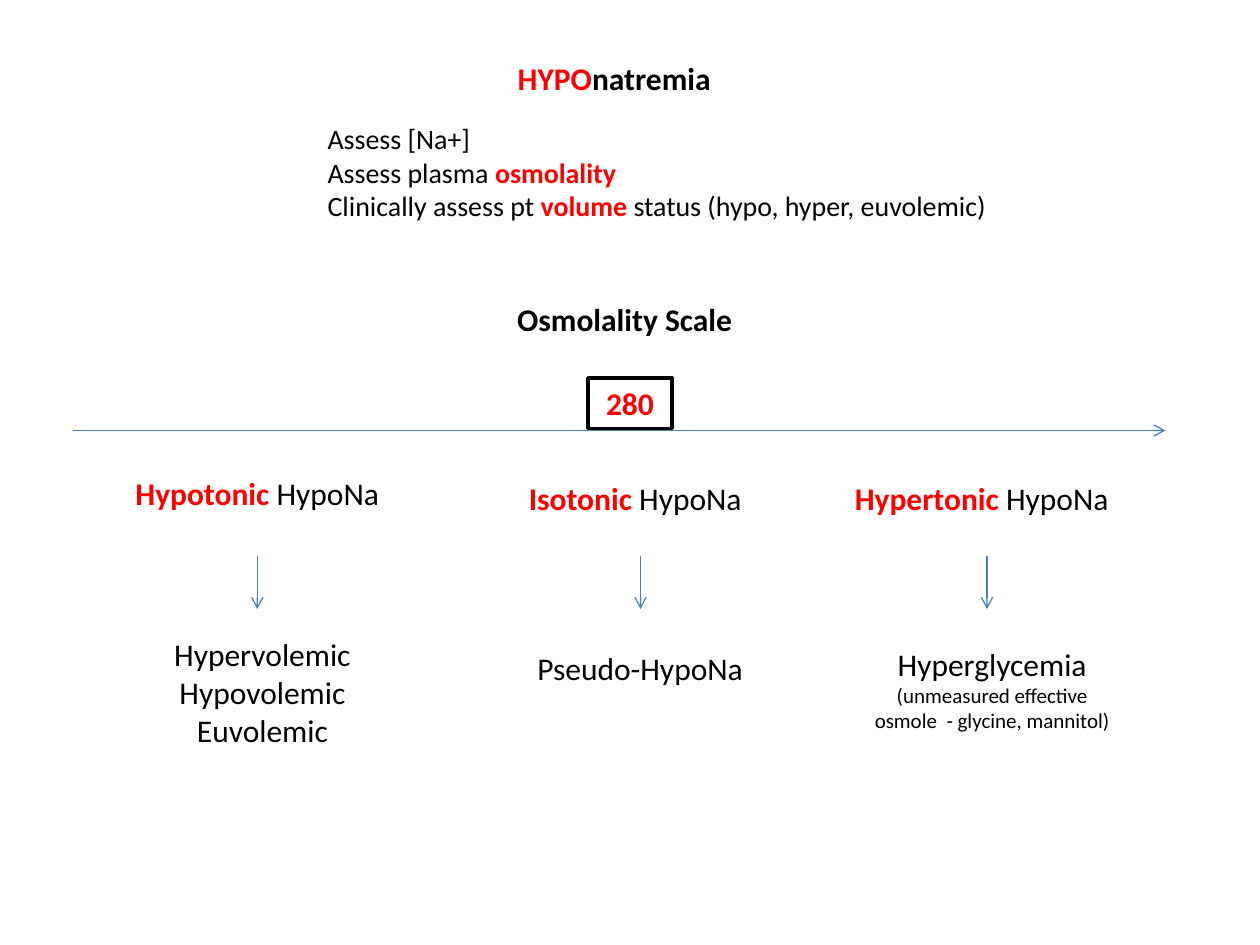
from lxml import etree
from pptx import Presentation
from pptx import util as u
from pptx.dml.color import RGBColor
from pptx.enum import shapes, text
from pptx.oxml.ns import qn

BLACK = RGBColor(0x00, 0x00, 0x00)
RED = RGBColor(0xFF, 0x00, 0x00)
BLUE = RGBColor(0x4B, 0x7E, 0xBC)
FONT = "Calibri"
CENTER, LEFT = text.PP_ALIGN.CENTER, text.PP_ALIGN.LEFT

# The slide is a grid of 120 columns by 90 rows.
CELL = u.Inches(10) / 120
LINE_ROWS = 4.8

# A run is (text, size, colour, bold).
def plain(words, size=18):
    return words, size, BLACK, False


def strong(words, size=18, color=RED):
    return words, size, color, True


def cells(*counts):
    return [u.Emu(round(count * CELL)) for count in counts]


def write(frame, lines, align=CENTER):
    """Fill a text frame with lines, each a list of runs."""
    frame.word_wrap = True
    frame.auto_size = text.MSO_AUTO_SIZE.NONE
    frame.vertical_anchor = text.MSO_ANCHOR.TOP
    for index, runs in enumerate(lines):
        paragraph = frame.add_paragraph() if index else frame.paragraphs[0]
        paragraph.alignment = align
        for words, size, color, bold in runs:
            run = paragraph.add_run()
            run.text = words
            run.font.name = FONT
            run.font.size = u.Pt(size)
            run.font.bold = bold
            run.font.color.rgb = color


def place(placeholder, box, lines, align=CENTER):
    (placeholder.left, placeholder.top,
     placeholder.width, placeholder.height) = cells(*box)
    write(placeholder.text_frame, lines, align)


def remove_bullets(frame):
    for paragraph in frame.paragraphs:
        paragraph.space_before = u.Pt(0)
        properties = paragraph._p.get_or_add_pPr()
        properties.set("marL", "0")
        properties.set("indent", "0")
        etree.SubElement(properties, qn("a:buNone"))


def add_label(slide, box, lines, align=CENTER):
    write(slide.shapes.add_textbox(*cells(*box)).text_frame, lines, align)


def add_arrow(slide, start, end):
    arrow = slide.shapes.add_connector(
        shapes.MSO_CONNECTOR.STRAIGHT, *cells(*start, *end))
    arrow.line.color.rgb = BLUE
    arrow.line.width = u.Pt(0.75)
    etree.SubElement(arrow.line._get_or_add_ln(), qn("a:tailEnd"), type="arrow")
    etree.SubElement(arrow._element.spPr, qn("a:effectLst"))


def add_threshold(slide, box, value):
    threshold = slide.shapes.add_shape(
        shapes.MSO_SHAPE.RECTANGLE, *cells(*box))
    threshold.shadow.inherit = False
    threshold.fill.background()
    threshold.line.color.rgb = BLACK
    threshold.line.width = u.Pt(2)
    write(threshold.text_frame, [[strong(value)]])


def add_branch(slide, tonicity, heading_box, arrow_column, causes, causes_box,
               align=CENTER):
    """Add one tonicity class, its arrow and the causes below it."""
    add_label(slide, heading_box, [[strong(tonicity + " "), plain("HypoNa")]])
    add_arrow(slide, (arrow_column, 53), (arrow_column, 58))
    add_label(slide, causes_box, causes, align)


def main():
    deck = Presentation()
    deck.slide_width, deck.slide_height = cells(120, 90)
    slide = deck.slides.add_slide(deck.slide_layouts[1])
    title, assessment = slide.placeholders

    place(title, (46, 5, 25, LINE_ROWS),
          [[strong("HYPO"), strong("natremia", color=BLACK)]])
    place(assessment, (30, 11, 69, 10.9), [
        [plain("Assess [Na+]", 16)],
        [plain("Assess plasma ", 16), strong("osmolality", 16)],
        [plain("Clinically assess pt ", 16), strong("volume", 16),
         plain(" status (hypo, hyper, euvolemic)", 16)],
    ], LEFT)
    remove_bullets(assessment.text_frame)

    add_label(slide, (47, 28, 25, LINE_ROWS),
              [[strong("Osmolality Scale", color=BLACK)]])
    add_arrow(slide, (7, 41), (111, 41))
    add_threshold(slide, (56, 36, 8, LINE_ROWS), "280")

    add_branch(slide, "Hypotonic", (10, 44.6, 29, LINE_ROWS), 24.5,
               [[plain(volume)] for volume in
                ("Hypervolemic", "Hypovolemic", "Euvolemic")],
               (14, 59.9, 22, 12.1))
    add_branch(slide, "Isotonic", (48, 45, 25, LINE_ROWS), 61,
               [[plain("Pseudo-HypoNa")]],
               (50, 61.2, 23, LINE_ROWS), LEFT)
    add_branch(slide, "Hypertonic", (80, 45, 27, LINE_ROWS), 94,
               [[plain("Hyperglycemia")],
                [plain("(unmeasured effective osmole  - glycine, mannitol)",
                       12)]],
               (82, 60.8, 25, 9.7))

    deck.save("out.pptx")


if __name__ == "__main__":
    main()
